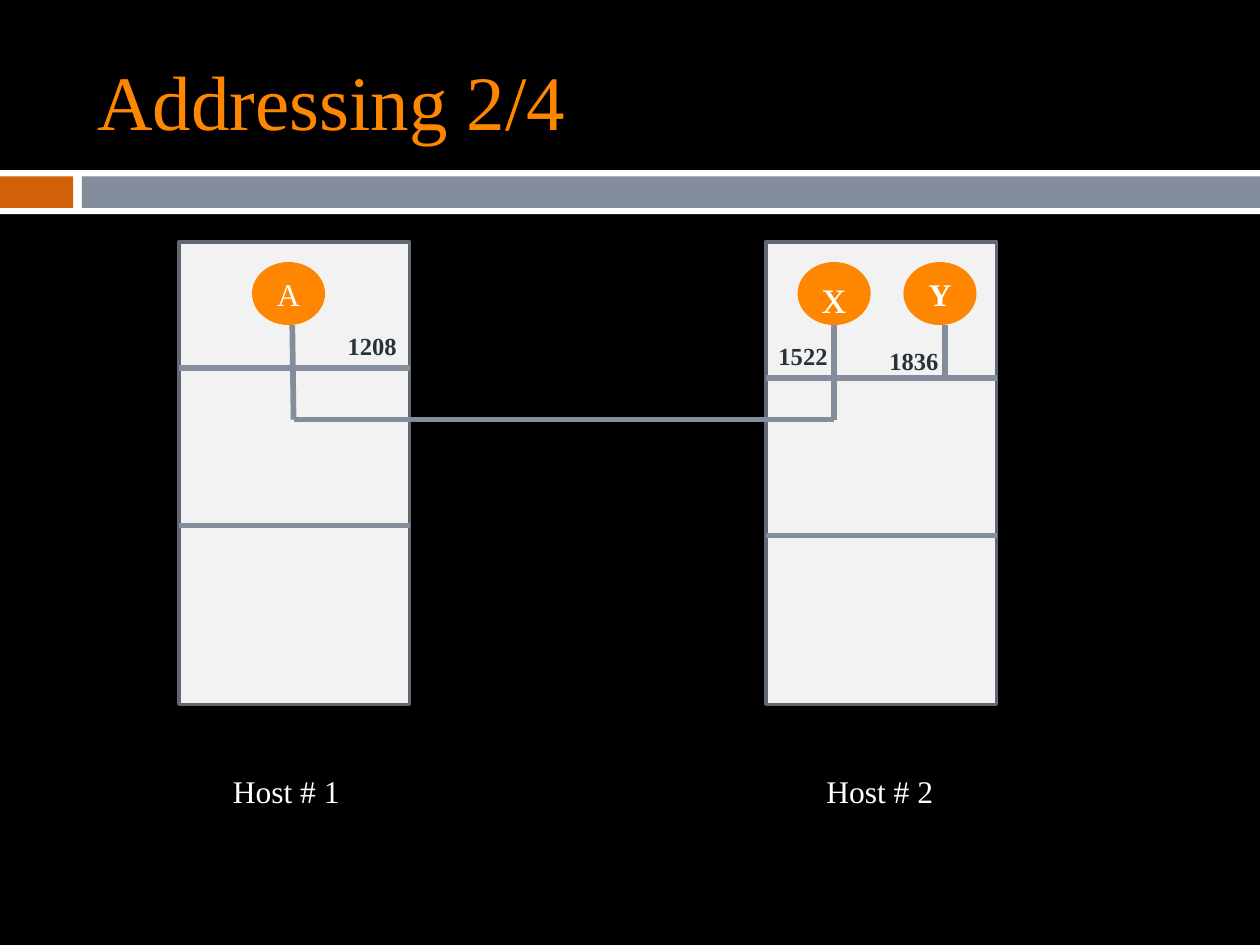
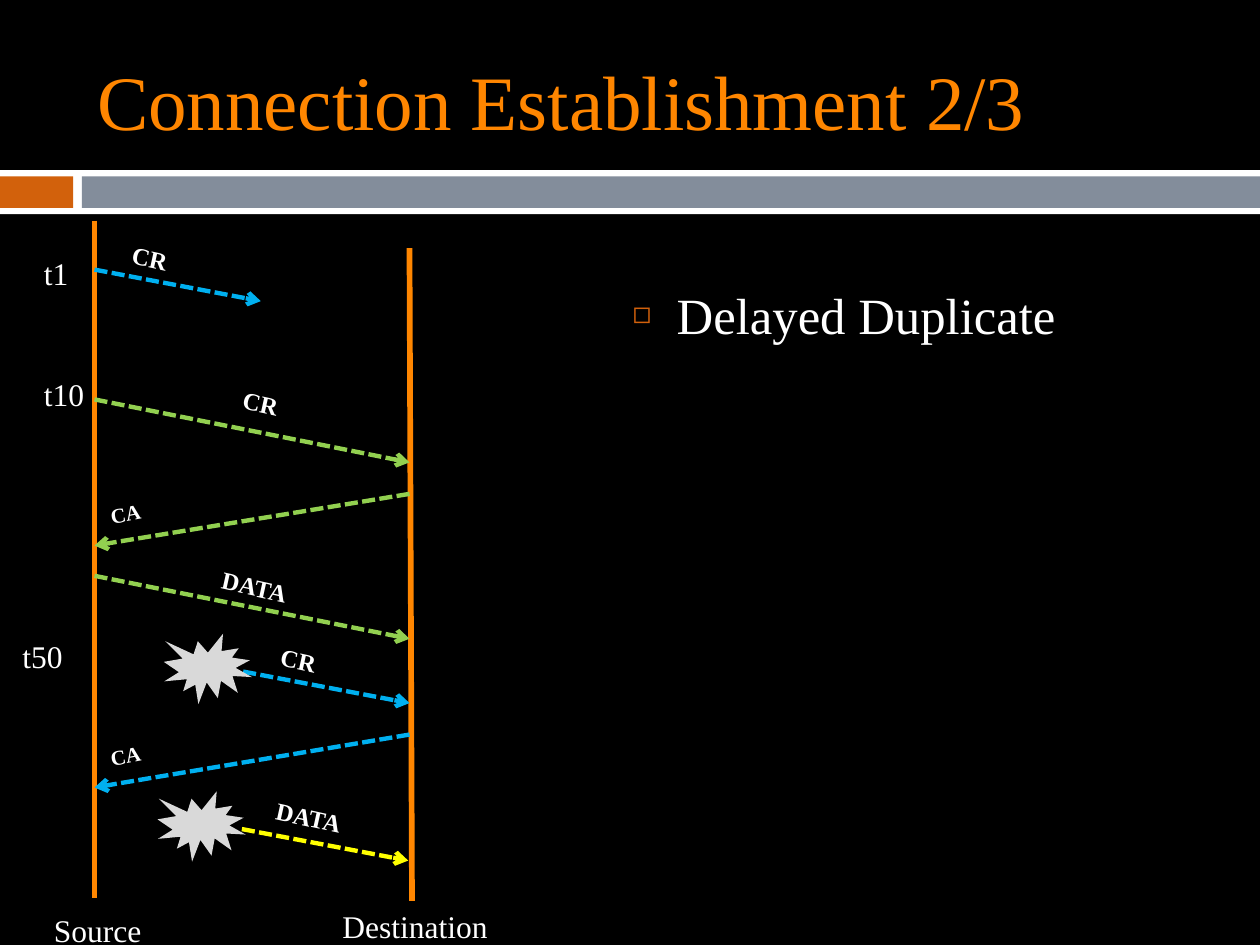
from lxml.etree import SubElement
from pptx import Presentation
from pptx.dml.color import RGBColor
from pptx.enum.dml import MSO_LINE
from pptx.enum.shapes import MSO_CONNECTOR, MSO_SHAPE
from pptx.enum.text import MSO_ANCHOR, MSO_AUTO_SIZE, PP_ALIGN
from pptx.oxml.ns import qn
from pptx.util import Pt

PX = 9144  # EMU per px, 100 px to the inch
FONT = "Times New Roman"
COLORS = {
    "back": "000000", "white": "FFFFFF", "orange": "FF8600",
    "rust": "D2610C", "slate": "838D9B", "edge": "616873",
    "panel": "F2F2F2", "ink": "283138", "green": "92D050",
    "blue": "00B0F0", "yellow": "FFFF00", "burst": "D9D9D9",
}
# Message label: width, height, text size, rotation
LABELS = {
    "CR": (49, 34, 14, 12.4),
    "DATA": (73, 34, 14, 12.4),
    "CA": (260, 30, 12, 349.7),
}


def rgb(name):
    return RGBColor.from_string(COLORS[name])


def emu(*lengths):
    return [n * PX for n in lengths]


def apply(target, values):
    for name, value in values.items():
        setattr(target, name, value)


def write(p, text, size, color, bold=False):
    r = p.add_run()
    r.text = text
    apply(r.font, {"name": FONT, "size": Pt(size), "bold": bold})
    r.font.color.rgb = rgb(color)


def add_box(s, kind, at, fill, edge=None):
    sp = s.shapes.add_shape(kind, *emu(*at))
    sp.shadow.inherit = False
    sp.fill.solid()
    sp.fill.fore_color.rgb = rgb(fill)
    if edge:
        sp.line.color.rgb = rgb(edge)
        sp.line.width = Pt(2)
    else:
        sp.line.fill.background()
    return sp


def add_line(s, start, end, color, width=3.25):
    line = s.shapes.add_connector(MSO_CONNECTOR.STRAIGHT, *emu(*start, *end))
    line.line.color.rgb = rgb(color)
    line.line.width = Pt(width)
    SubElement(line._element.spPr, qn("a:effectLst"))
    return line


def add_arrow(s, start, end, color):
    arrow = add_line(s, start, end, color, 2.5)
    arrow.line.dash_style = MSO_LINE.SQUARE_DOT
    SubElement(arrow.line._get_or_add_ln(), qn("a:tailEnd"), type="arrow")


def add_text(s, at, text, size=18, color="white", bold=False, wrap=False, rotation=0):
    sp = s.shapes.add_textbox(*emu(*at))
    sp.rotation = rotation
    apply(sp.text_frame, {"word_wrap": wrap, "auto_size": MSO_AUTO_SIZE.SHAPE_TO_FIT_TEXT})
    write(sp.text_frame.paragraphs[0], text, size, color, bold)


def place(sp, at):
    apply(sp, dict(zip(("left", "top", "width", "height"), emu(*at))))
    sp.text_frame.auto_size = MSO_AUTO_SIZE.NONE
    return sp.text_frame


def add_slide(prs, layout, title):
    s = prs.slides.add_slide(prs.slide_layouts[layout])
    # Bands under the title
    for at, fill in (((0, 135, 1000, 35), "white"),
                     ((0, 140, 58, 25), "rust"),
                     ((65, 140, 935, 25), "slate")):
        add_box(s, MSO_SHAPE.RECTANGLE, at, fill)
    tf = place(s.shapes.title, (67, 25, 892, 108))
    tf.vertical_anchor = MSO_ANCHOR.MIDDLE
    p = tf.paragraphs[0]
    p.alignment = PP_ALIGN.LEFT
    write(p, title, 44, "orange")
    return s


def add_bullet(s, at, text):
    tf = place(s.placeholders[1], at)
    tf.vertical_anchor = MSO_ANCHOR.TOP
    p = tf.paragraphs[0]
    pPr = p._p.get_or_add_pPr()
    apply_indent = {"marL": 35 * PX, "indent": -35 * PX}
    for name, value in apply_indent.items():
        pPr.set(name, str(value))
    SubElement(SubElement(pPr, qn("a:buClr")), qn("a:srgbClr"), val=COLORS["rust"])
    SubElement(pPr, qn("a:buSzPct"), val="60000")
    SubElement(pPr, qn("a:buChar"), char="◻")
    p.space_before = Pt(0)
    write(p, text, 29, "white")


def add_host(s, left, first_divider):
    add_box(s, MSO_SHAPE.RECTANGLE, (left, 192, 183, 367), "panel", "edge")
    for y in (first_divider, first_divider + 125):
        add_line(s, (left, y), (left + 183, y), "slate")


def add_process(s, left, name, size=18, bold=False):
    sp = add_box(s, MSO_SHAPE.OVAL, (left, 208, 58, 50), "orange")
    sp.text_frame.vertical_anchor = MSO_ANCHOR.MIDDLE
    p = sp.text_frame.paragraphs[0]
    p.alignment = PP_ALIGN.CENTER
    write(p, name, size, "white", bold)


def add_message(s, start, end, color, label, label_at):
    add_arrow(s, start, end, color)
    width, height, size, rotation = LABELS[label]
    add_text(s, (*label_at, width, height), label, size, bold=True,
             wrap=label == "CA", rotation=rotation)


def addressing(prs):
    s = add_slide(prs, 5, "Addressing 2/4")
    # Hosts and their processes
    add_host(s, 142, 292)
    add_host(s, 608, 300)
    add_process(s, 200, "A")
    add_process(s, 633, "x", size=28)
    add_process(s, 717, "Y", bold=True)
    # Connection from A to x, and the port of Y
    for start, end in (((232, 258), (233, 333)), ((662, 258), (662, 333)),
                       ((750, 258), (750, 300)), ((233, 333), (662, 333))):
        add_line(s, start, end, "slate")
    # Port numbers
    for left, top, port in ((266, 258, "1208"), (608, 266, "1522"), (696, 270, "1836")):
        add_text(s, (left, top, 59, 34), port, 14, "ink", bold=True)
    for left, name in ((175, "Host # 1"), (646, "Host # 2")):
        add_text(s, (left, 608, 112, 40), name)


def connection(prs):
    s = add_slide(prs, 1, "Connection Establishment 2/3")
    add_bullet(s, (492, 220, 375, 58), "Delayed Duplicate")
    # Time lines
    add_line(s, (75, 175), (75, 713), "orange")
    add_line(s, (325, 197), (327, 715), "orange")
    # Messages in order of time
    for message in (
        ((75, 214), (207, 239), "blue", "CR", (95, 188)),
        ((75, 317), (325, 367), "green", "CR", (183, 303)),
        ((325, 392), (75, 433), "green", "CA", (76, 373)),
        ((75, 457), (325, 507), "green", "DATA", (166, 449)),
        ((193, 533), (325, 558), "blue", "CR", (213, 507)),
        ((325, 583), (75, 625), "blue", "CA", (76, 565)),
        ((192, 658), (324, 683), "yellow", "DATA", (209, 632)),
    ):
        add_message(s, *message)
    # Bursts where the delayed duplicates appear
    for left, top in ((130, 503), (125, 628)):
        add_box(s, MSO_SHAPE.EXPLOSION1, (left, top, 70, 56), "burst")
    # Names of the time lines and moments
    for left, top, width, text in (
        (33, 718, 97, "Source"), (262, 715, 137, "Destination"),
        (25, 197, 40, "t1"), (25, 293, 52, "t10"), (8, 501, 52, "t50"),
    ):
        add_text(s, (left, top, width, 40), text)


def main():
    prs = Presentation()
    prs.slide_width, prs.slide_height = emu(1000, 750)
    fill = prs.slide_master.background.fill
    fill.solid()
    fill.fore_color.rgb = rgb("back")
    addressing(prs)
    connection(prs)
    prs.save("out.pptx")


if __name__ == "__main__":
    main()
